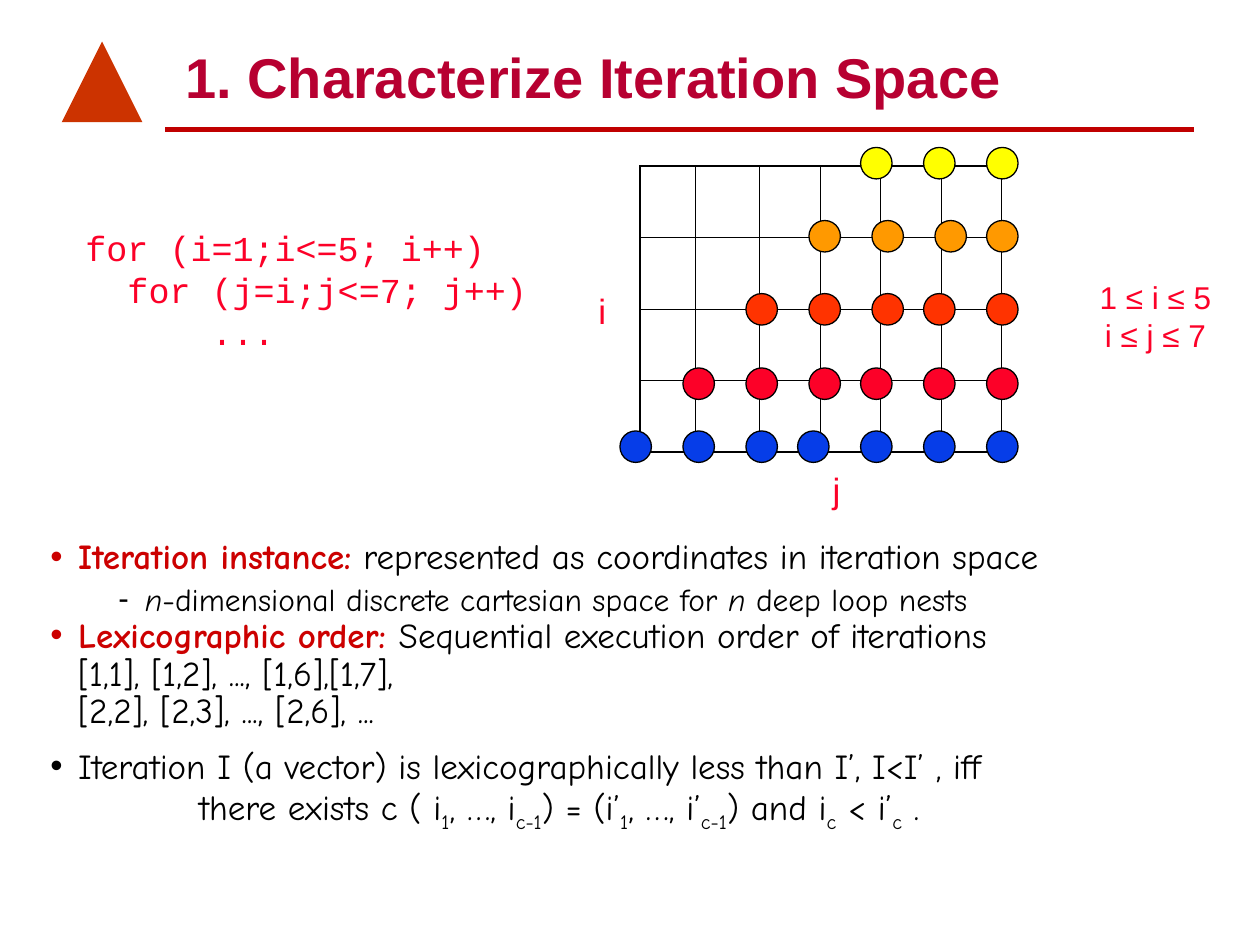
from lxml import etree
from pptx import Presentation
from pptx.dml.color import RGBColor
from pptx.enum.shapes import MSO_CONNECTOR, MSO_SHAPE
from pptx.enum.text import MSO_ANCHOR, MSO_AUTO_SIZE, PP_ALIGN
from pptx.oxml.ns import qn
from pptx.util import Inches, Pt

LINE, OVAL = MSO_CONNECTOR.STRAIGHT, MSO_SHAPE.OVAL
RECT, TRIANGLE = MSO_SHAPE.RECTANGLE, MSO_SHAPE.ISOSCELES_TRIANGLE
BOTTOM, MIDDLE, TOP = MSO_ANCHOR.BOTTOM, MSO_ANCHOR.MIDDLE, MSO_ANCHOR.TOP
LEFT, CENTER = PP_ALIGN.LEFT, PP_ALIGN.CENTER

COLORS = {
    "title": "B70031", "rule": "C00000", "mark": "CC3300", "key": "CC0000",
    "code": "FC0128", "black": "000000", "white": "FFFFFF",
}
DOT_COLORS = ["063DE8", "FC0128", "FF3300", "FF9900", "FFFF00"]
DOT_TOPS = [3.42, 2.92, 2.33, 1.75, 1.17]
DOT_SIZE, DOT_STEP, LAST_J = 0.25, 0.5, 7
COLUMN_WIDTHS = [0.44, 0.51, 0.48, 0.48, 0.48, 0.48]
GRID_ROWS = 4
THIN, THICK = Pt(0.45), Pt(1.08)

# Each bullet: level, bullet colour, space before, space after, (text, style) runs
BULLETS = [
    (0, "key", 0, 5, [
        ("Iteration instance:", "key"),
        (" represented as coordinates in iteration space", "")]),
    (1, "black", 0, 0, [
        ("n", "em"), ("-dimensional discrete cartesian space for ", ""),
        ("n ", "em"), ("deep loop nests", "")]),
    (0, "key", 0, 5, [
        ("Lexicographic order: ", "key"),
        ("Sequential execution order of iterations\n"
         "[1,1], [1,2], ..., [1,6],[1,7],\n"
         "[2,2], [2,3], ..., [2,6], ...", "")]),
    (0, "black", 5, 5, [
        ("Iteration I (a vector) is lexicographically less than I’, I<I’ , iff\n"
         "\tthere exists c ( i", ""), ("1", "sub"),
        (", …, i", ""), ("c-1", "sub"), (") = (i’", ""), ("1", "sub"),
        (", …, i’", ""), ("c-1", "sub"), (") and i", ""), ("c", "sub"),
        (" < i’", ""), ("c", "sub"), (" .", "")]),
]
# Per level: left margin, hanging indent, line spacing, text size, bullet
LEVELS = [(0.22, -0.22, 0.9, 20, "•"), (0.75, -0.21, 0.85, 18, "-")]


def rgb(name):
    return RGBColor.from_string(COLORS.get(name, name))


def inches(box):
    return [Inches(v) for v in box]


def set_font(font, name, size, color):
    font.name, font.size = name, Pt(size)
    font.color.rgb = rgb(color)


def place(s, box):
    s.left, s.top, s.width, s.height = inches(box)


def add_figure(shapes, kind, box, fill, line=None, width=0.75):
    s = shapes.add_shape(kind, *inches(box))
    s.shadow.inherit = False
    s.fill.solid()
    s.fill.fore_color.rgb = rgb(fill)
    if line:
        s.line.color.rgb = rgb(line)
        s.line.width = Pt(width)
    else:
        s.line.fill.background()
    return s


def write_lines(s, lines, font, size, align=LEFT, wrap=False):
    tf = s.text_frame
    tf.word_wrap = wrap
    for n, text in enumerate(lines):
        p = tf.add_paragraph() if n else tf.paragraphs[0]
        p.text, p.alignment = text, align
        set_font(p.font, font, size, "code")


def add_label(slide, box, lines, font="Arial", wrap=False):
    write_lines(slide.shapes.add_textbox(*inches(box)), lines, font, 20, wrap=wrap)


def add_header(slide, box):
    x, y, w, h = box
    add_figure(slide.shapes, TRIANGLE, (x, y + 0.08, 0.64, 0.64), "mark")
    title = slide.shapes.title
    place(title, (x + 0.88, y, 8, 0.67))
    tf = title.text_frame
    tf.auto_size, tf.vertical_anchor = MSO_AUTO_SIZE.NONE, BOTTOM
    p = tf.paragraphs[0]
    p.text, p.alignment = "1. Characterize Iteration Space", LEFT
    set_font(p.font, "Arial", 32, "title")
    p.font.bold = True
    rule = slide.shapes.add_connector(
        LINE, *inches((x + 0.82, y + h, x + w, y + h)))
    rule.line.color.rgb = rgb("rule")
    rule.line.width = Pt(3)
    etree.SubElement(rule._element.spPr, qn("a:effectLst"))


def add_borders(cell, widths):
    tc_pr = cell._tc.get_or_add_tcPr()
    for side, width in widths.items():
        ln = etree.SubElement(tc_pr, qn(f"a:ln{side}"), w=str(width))
        fill = etree.SubElement(ln, qn("a:solidFill"))
        etree.SubElement(fill, qn("a:srgbClr"), val=COLORS["black"])
    cell.fill.background()


def add_grid(slide, box):
    cols = len(COLUMN_WIDTHS)
    table = slide.shapes.add_table(GRID_ROWS, cols, *inches(box)).table
    table.first_row = table.horz_banding = False
    for column, width in zip(table.columns, COLUMN_WIDTHS):
        column.width = Inches(width)
    for r, row in enumerate(table.rows):
        row.height = Inches(box[3] / GRID_ROWS)
        for c, cell in enumerate(row.cells):
            outer = {"L": c == 0, "R": c == cols - 1,
                     "T": r == 0, "B": r == GRID_ROWS - 1}
            add_borders(cell, {k: THICK if v else THIN for k, v in outer.items()})


def add_dots(slide, left, right):
    """One group for each i; its first three dots step from left, the rest back from right."""
    for i, (top, color) in enumerate(zip(DOT_TOPS, DOT_COLORS), 1):
        group = slide.shapes.add_group_shape()
        for j in range(i, LAST_J + 1):
            from_left = j - i < 3 and i < len(DOT_TOPS)
            x = left + DOT_STEP * (j - 1) if from_left else right - DOT_STEP * (LAST_J - j)
            add_figure(group.shapes, OVAL, (x, top, DOT_SIZE, DOT_SIZE), color, "black")


def add_iteration_space(slide, box):
    x, y, w, h = box
    add_label(slide, (x + w / 2, y + h + 0.08, 0.26, 0.44), ["j"])
    add_label(slide, (x - 0.43, y + 0.93, 0.26, 0.44), ["i"])
    add_grid(slide, box)
    add_dots(slide, x - 0.16, x + w - 0.11)


def add_bounds(slide, box):
    s = add_figure(slide.shapes, RECT, box, "white")
    s.text_frame.vertical_anchor = MIDDLE
    write_lines(s, ["1 ≤ i ≤ 5", "i ≤ j ≤ 7"], "Arial", 18, CENTER)


def add_run(p, text, style):
    for n, part in enumerate(text.split("\n")):
        if n:
            p.add_line_break()
        r = p.add_run()
        r.text = part
        if style == "key":
            r.font.bold = True
            r.font.color.rgb = rgb("key")
        elif style == "em":
            r.font.italic = True
        elif style == "sub":
            r._r.get_or_add_rPr().set("baseline", "-25000")


def format_bullet(p, level, color):
    margin, indent, spacing, size, char = LEVELS[level]
    p.level, p.line_spacing = level, spacing
    p_pr = p._p.get_or_add_pPr()
    p_pr.set("marL", str(Inches(margin)))
    p_pr.set("indent", str(Inches(indent)))
    bu_clr = etree.SubElement(p_pr, qn("a:buClr"))
    etree.SubElement(bu_clr, qn("a:srgbClr"), val=COLORS[color])
    etree.SubElement(p_pr, qn("a:buChar"), char=char)
    tabs = etree.SubElement(p_pr, qn("a:tabLst"))
    etree.SubElement(tabs, qn("a:tab"), pos=str(Inches(1.18)), algn="l")
    set_font(p.font, "Comic Neue", size, "black")


def add_bullets(slide, box):
    body = slide.placeholders[1]
    place(body, box)
    tf = body.text_frame
    tf.word_wrap, tf.auto_size, tf.vertical_anchor = True, MSO_AUTO_SIZE.NONE, TOP
    tf.margin_left = tf.margin_right = Inches(0.07)
    tf.margin_top = tf.margin_bottom = Inches(0.03)
    for n, (level, color, before, after, runs) in enumerate(BULLETS):
        p = tf.add_paragraph() if n else tf.paragraphs[0]
        format_bullet(p, level, color)
        p.space_before, p.space_after = Pt(before), Pt(after)
        for text, style in runs:
            add_run(p, text, style)


def main():
    prs = Presentation()
    prs.slide_width, prs.slide_height = Inches(10), Inches(7.5)
    slide = prs.slides.add_slide(prs.slide_layouts[1])
    add_header(slide, (0.49, 0.25, 8.99, 0.78))
    add_bullets(slide, (0.33, 4.25, 9.33, 2.36))
    add_label(slide, (0.58, 1.75, 3.71, 1.1),
              ["for (i=1;i<=5; i++)", "  for (j=i;j<=7; j++)", "      ..."],
              "Courier New", wrap=True)
    add_bounds(slide, (8.42, 1.17, 1.5, 2.67))
    add_iteration_space(slide, (5.08, 1.32, 2.86, 2.27))
    prs.save("out.pptx")


if __name__ == "__main__":
    main()
